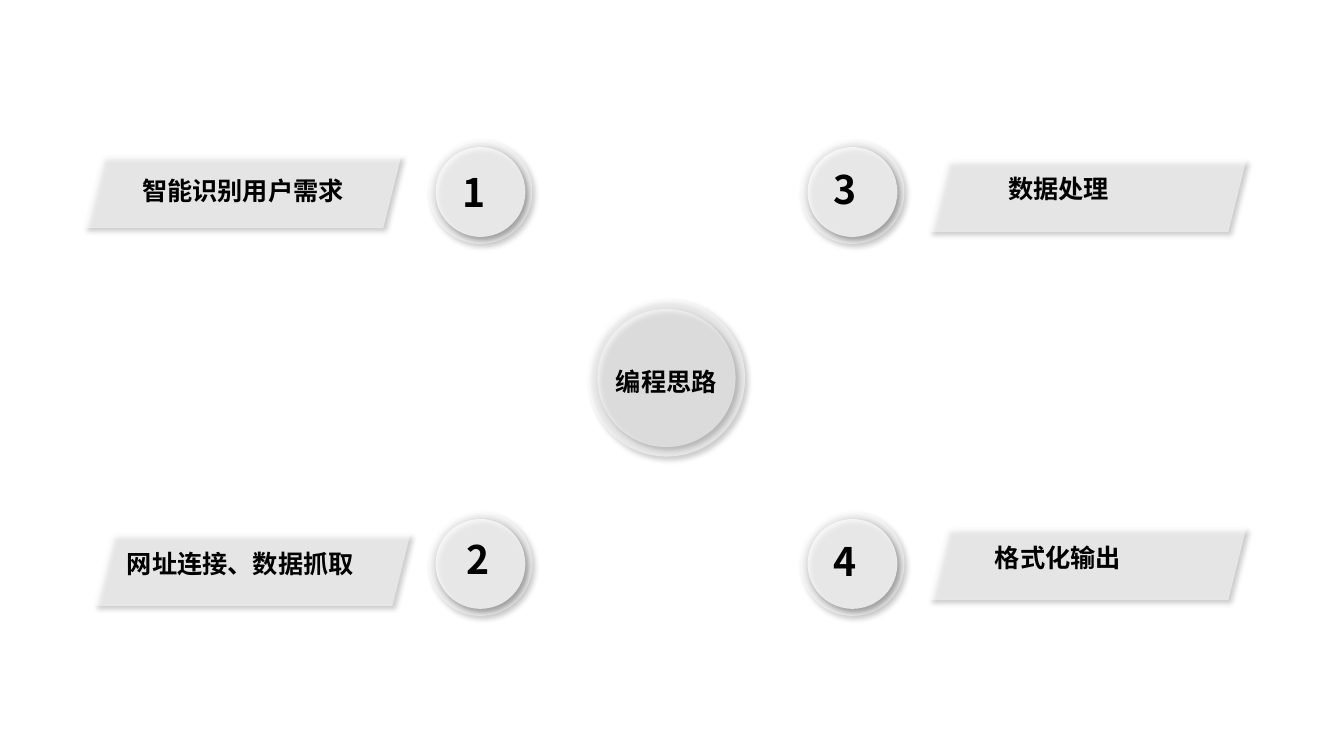
import dataclasses

import lxml.etree
import pptx
import pptx.dml.color
import pptx.enum.shapes
import pptx.enum.text
import pptx.oxml
import pptx.oxml.ns
import pptx.util

KIND = pptx.enum.shapes.MSO_SHAPE
FIT = pptx.enum.text.MSO_AUTO_SIZE
qn = pptx.oxml.ns.qn


@dataclasses.dataclass
class Theme:
    font: str = "Noto Sans CJK SC"
    fill: str = "FFFFFF"
    ink: str = "000000"
    shade: int = 40
    label: int = 18
    digit: int = 28


def node(parent, tag, **attrs):
    return lxml.etree.SubElement(parent, qn(tag), {k: str(v) for k, v in attrs.items()})


def write(box, text, theme, size, bold=True, wrap=False):
    frame = box.text_frame
    frame.word_wrap = wrap
    frame.auto_size = FIT.SHAPE_TO_FIT_TEXT
    run = frame.paragraphs[0].add_run()
    run.text = text
    font = run.font
    font.name, font.size, font.bold = theme.font, pptx.util.Pt(size), bold
    font.color.rgb = pptx.dml.color.RGBColor.from_string(theme.ink)
    node(font._element, "a:ea", typeface=theme.font)


class Board:
    """Draws on one slide; lengths are percent of its width and height."""

    def __init__(self, deck, theme):
        self.wide, self.high = deck.slide_width, deck.slide_height
        self.theme = theme
        self.slide = deck.slides.add_slide(deck.slide_layouts[6])
        self.shapes = self.slide.shapes

    def area(self, x, y, w, h):
        return [round(part * full / 100) for part, full in
                ((x, self.wide), (y, self.high), (w, self.wide), (h, self.high))]

    def plate(self, kind, area, alpha, group=None):
        """Add a translucent, shadowed shape without a line."""
        shape = (group or self).shapes.add_shape(kind, *area)
        shape.fill.solid()
        shape.fill.fore_color.rgb = pptx.dml.color.RGBColor.from_string(self.theme.fill)
        shape.line.fill.background()
        props = shape._element.spPr
        node(props.find(".//" + qn("a:srgbClr")), "a:alpha", val=alpha * 1000)
        shadow = node(node(props, "a:effectLst"), "a:outerShdw",
                      blurRad=pptx.util.Pt(4), dist=pptx.util.Pt(3),
                      dir=45 * 60000, algn="tl", rotWithShape=0)
        node(node(shadow, "a:srgbClr", val=self.theme.ink),
             "a:alpha", val=self.theme.shade * 1000)

    def disc(self, x, y, size, alpha):
        """Add a circle centred at x, y; size is a share of the width."""
        tall = size * self.wide / self.high
        area = self.area(x - size / 2, y - tall / 2, size, tall)
        self.plate(KIND.OVAL, area, alpha)

    def label(self, text, x, y, group=None):
        """Add a one-line label as wide as its characters need."""
        area = self.area(x, y, 1.5 + 1.875 * len(text), 5.6)
        box = (group or self).shapes.add_textbox(*area)
        write(box, text, self.theme, self.theme.label)

    def digit(self, text, x, y, w):
        box = self.shapes.add_textbox(*self.area(x, y, w, 8.93))
        write(box, text, self.theme, self.theme.digit, wrap=True)

    def bar(self, text, left, top, x, y):
        """Group a slanted bar with its label."""
        group = self.shapes.add_group_shape()
        self.plate(KIND.PARALLELOGRAM, self.area(left, top, 23.55, 9.47), 50, group)
        self.label(text, x, y, group)


MID_X, MID_Y = 49.59, 50
STEP_X, STEP_Y = 13.84, 24.6
SIDES = [(-1, -1), (1, -1), (1, 1), (-1, 1)]
LAYERS = [(11.7, 50, 7.73, 50), (10.28, 50, 6.68, 75)]
BARS = [
    ("智能识别用户需求", 6.3, 20.67, 9.83, 22.53),
    ("网址连接、数据抓取", 6.98, 70.67, 8.7, 71.87),
    ("数据处理", 69.17, 21.2, 74.27, 22.27),
    ("格式化输出", 69.17, 69.87, 73.29, 71.07),
]
DIGITS = [
    ("1", 33.68, 21.6, 3.23),
    ("3", 61.29, 21.2, 4.28),
    ("2", 33.98, 70.13, 3.53),
    ("4", 61.29, 70.4, 3),
]


def main():
    deck = pptx.Presentation()
    deck.slide_width = pptx.util.Inches(13.33)
    deck.slide_height = pptx.util.Inches(7.5)
    board = Board(deck, Theme())
    for hub, hub_alpha, knob, knob_alpha in LAYERS:
        board.disc(MID_X, MID_Y, hub, hub_alpha)
        for dx, dy in SIDES:
            board.disc(MID_X + dx * STEP_X, MID_Y + dy * STEP_Y, knob, knob_alpha)
    board.label("编程思路", 45.09, 47.73)
    for bar in BARS:
        board.bar(*bar)
    for digit in DIGITS:
        board.digit(*digit)
    deck.save("out.pptx")


if __name__ == "__main__":
    main()
